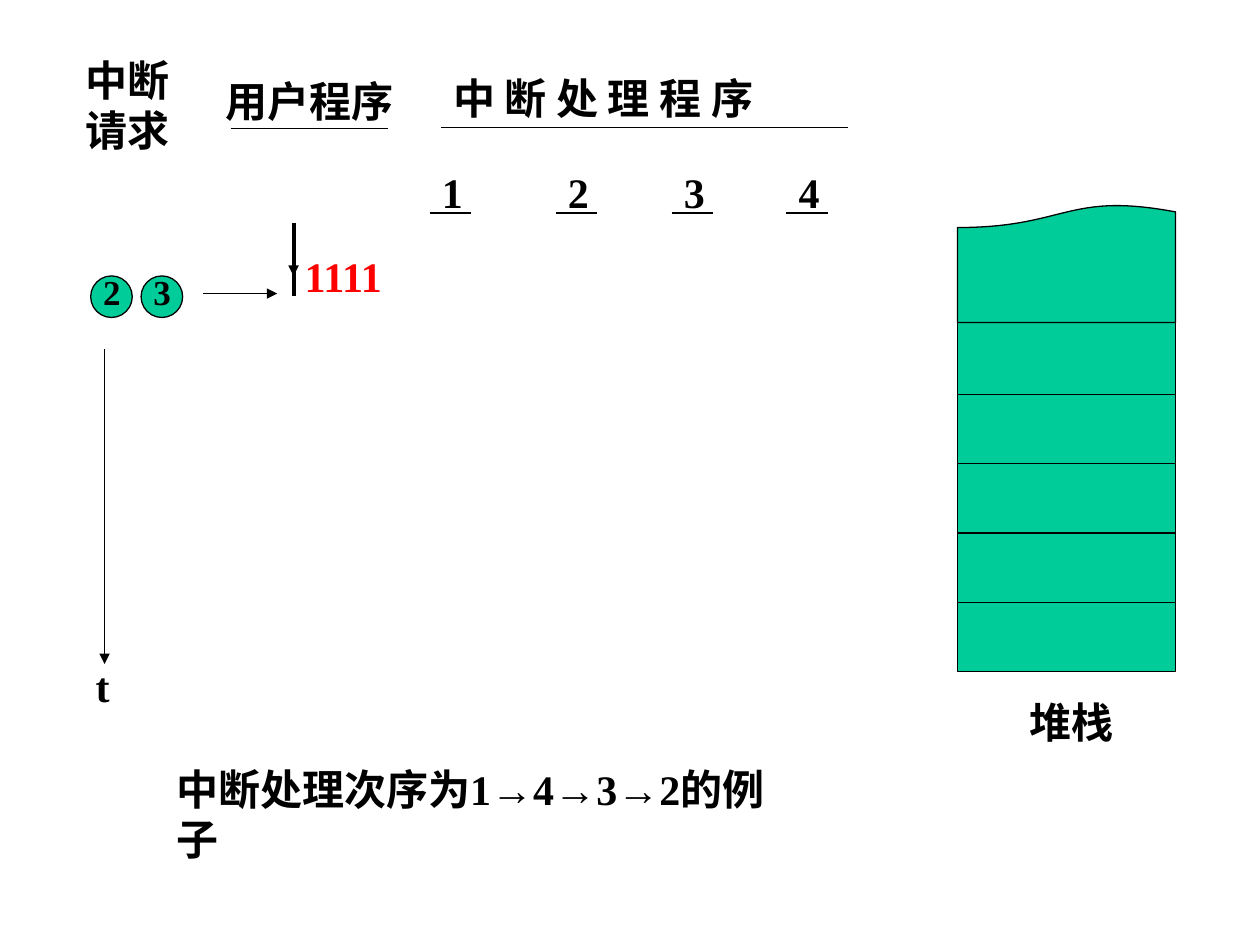
"""Build the interrupt nesting slide with its request timeline and empty stack."""
import dataclasses
import typing

import lxml.etree
import pptx
import pptx.dml.color
import pptx.enum.shapes
import pptx.enum.text
import pptx.oxml
import pptx.oxml.ns
import pptx.util

COLUMNS, ROWS = 10, 7.5
COLUMN = ROW = pptx.util.Inches(1)
BLACK, RED, GREEN = "000000", "FF0000", "00CC99"
SERIF, SANS, CHINESE = "Times New Roman", "Arial", "Noto Sans CJK SC"
SHAPES = pptx.enum.shapes.MSO_SHAPE


@dataclasses.dataclass
class Label:
    """Text in a box placed in grid columns and rows."""

    text: str
    left: float
    top: float
    width: float
    height: float = 0.5
    size: int = 24
    color: str = BLACK
    font: str = SERIF
    wrap: bool = True


@dataclasses.dataclass
class Line:
    """A straight line between two grid points."""

    start: tuple[float, float]
    end: tuple[float, float]
    weight: float = 0.75
    arrow: bool = False


@dataclasses.dataclass
class Block:
    """A filled preset shape placed in grid columns and rows."""

    kind: typing.Any
    left: float
    top: float
    width: float
    height: float
    rotation: float = 0


def rgb(color: str) -> pptx.dml.color.RGBColor:
    """Turn a hex string into a colour."""
    return pptx.dml.color.RGBColor.from_string(color)


def box(*lengths: float) -> list[int]:
    """Turn left, top, width and height on the grid into slide lengths."""
    return [round(length * unit) for length, unit in zip(lengths, (COLUMN, ROW) * 2)]


def draw_label(slide: typing.Any, label: Label) -> None:
    """Draw a label with one paragraph for each line of text."""
    shape = slide.shapes.add_textbox(*box(label.left, label.top, label.width, label.height))
    frame = shape.text_frame
    frame.word_wrap = label.wrap
    frame.auto_size = pptx.enum.text.MSO_AUTO_SIZE.SHAPE_TO_FIT_TEXT
    for index, text in enumerate(label.text.split("\n")):
        paragraph = frame.add_paragraph() if index else frame.paragraphs[0]
        run = paragraph.add_run()
        run.text = text
        run.font.name = label.font
        run.font.size = pptx.util.Pt(label.size)
        run.font.bold = True
        run.font.color.rgb = rgb(label.color)
        east_asian = lxml.etree.SubElement(run.font._element, pptx.oxml.ns.qn("a:ea"))
        east_asian.set("typeface", CHINESE)


def draw_line(slide: typing.Any, line: Line) -> None:
    """Draw a line, with an arrowhead at its end if asked."""
    connector = slide.shapes.add_connector(
        pptx.enum.shapes.MSO_CONNECTOR.STRAIGHT, *box(*line.start, *line.end)
    )
    connector.line.color.rgb = rgb(BLACK)
    connector.line.width = pptx.util.Pt(line.weight)
    if line.arrow:
        outline = connector.line._get_or_add_ln()
        head = lxml.etree.SubElement(outline, pptx.oxml.ns.qn("a:tailEnd"))
        head.set("type", "triangle")
    lxml.etree.SubElement(connector._element.spPr, pptx.oxml.ns.qn("a:effectLst"))


def draw_block(slide: typing.Any, block: Block) -> None:
    """Draw a green shape with a thin outline."""
    shape = slide.shapes.add_shape(
        block.kind, *box(block.left, block.top, block.width, block.height)
    )
    shape.rotation = block.rotation
    shape.shadow.inherit = False
    shape.fill.solid()
    shape.fill.fore_color.rgb = rgb(GREEN)
    shape.line.color.rgb = rgb(BLACK)
    shape.line.width = pptx.util.Pt(0.75)


def draw_headings(slide: typing.Any) -> None:
    """Draw the column headings and the numbered interrupt handlers."""
    draw_label(slide, Label("用户程序", 1.69, 0.55, 1.92))
    draw_label(slide, Label("中 断 处 理 程 序", 3.5, 0.53, 3.54, font=CHINESE))
    draw_label(slide, Label("中断\n请求", 0.58, 0.38, 1.19, 0.9))
    draw_line(slide, Line((1.83, 1.02), (3.08, 1.02)))
    draw_line(slide, Line((3.5, 1.01), (6.73, 1.01)))
    for number, left in enumerate((3.41, 4.41, 5.33, 6.24), start=1):
        draw_label(slide, Label(str(number), left, 1.27, 0.37, wrap=False))
        draw_line(slide, Line((left, 1.69), (left + 0.33, 1.69)))


def draw_timeline(slide: typing.Any) -> None:
    """Draw the user program, the arriving requests and the time axis."""
    draw_line(slide, Line((2.33, 1.77), (2.33, 2.35), weight=2.25))
    draw_line(slide, Line((2.33, 1.85), (2.33, 2.19), arrow=True))
    draw_label(slide, Label("1111", 2.32, 1.94, 0.81, color=RED, wrap=False))
    draw_line(slide, Line((1.61, 2.33), (2.2, 2.33), arrow=True))
    for request, left in (("3", 1.12), ("2", 0.72)):
        draw_block(slide, Block(SHAPES.OVAL, left, 2.19, 0.33, 0.33))
        draw_label(slide, Label(request, left, 2.1, 0.34, 0.43, size=20, wrap=False))
    draw_line(slide, Line((0.83, 2.77), (0.83, 5.27), arrow=True))
    draw_label(slide, Label("t", 0.66, 5.19, 0.31, wrap=False))


def draw_stack(slide: typing.Any) -> None:
    """Draw the stack with a torn top and equal cells."""
    left, width, bottom, cell = 7.6, 1.73, 5.33, 0.55
    draw_block(slide, Block(SHAPES.RECTANGLE, left, 2.02, width, bottom - 2.02))
    for level in range(1, 5):
        height = bottom - level * cell
        draw_line(slide, Line((left, height), (left + width, height)))
    draw_block(slide, Block(SHAPES.FLOWCHART_DOCUMENT, left, 1.62, width, 0.94, 180))
    draw_label(slide, Label("堆栈", 8.07, 5.48, 1.5, font=SANS))


def main() -> None:
    """Build and save the presentation."""
    presentation = pptx.Presentation()
    presentation.slide_width = COLUMNS * COLUMN
    presentation.slide_height = round(ROWS * ROW)
    slide = presentation.slides.add_slide(presentation.slide_layouts[6])
    draw_headings(slide)
    draw_timeline(slide)
    draw_stack(slide)
    draw_label(slide, Label("中断处理次序为1→4→3→2的例子", 1.3, 6.01, 5.19))
    presentation.save("out.pptx")


if __name__ == "__main__":
    main()
